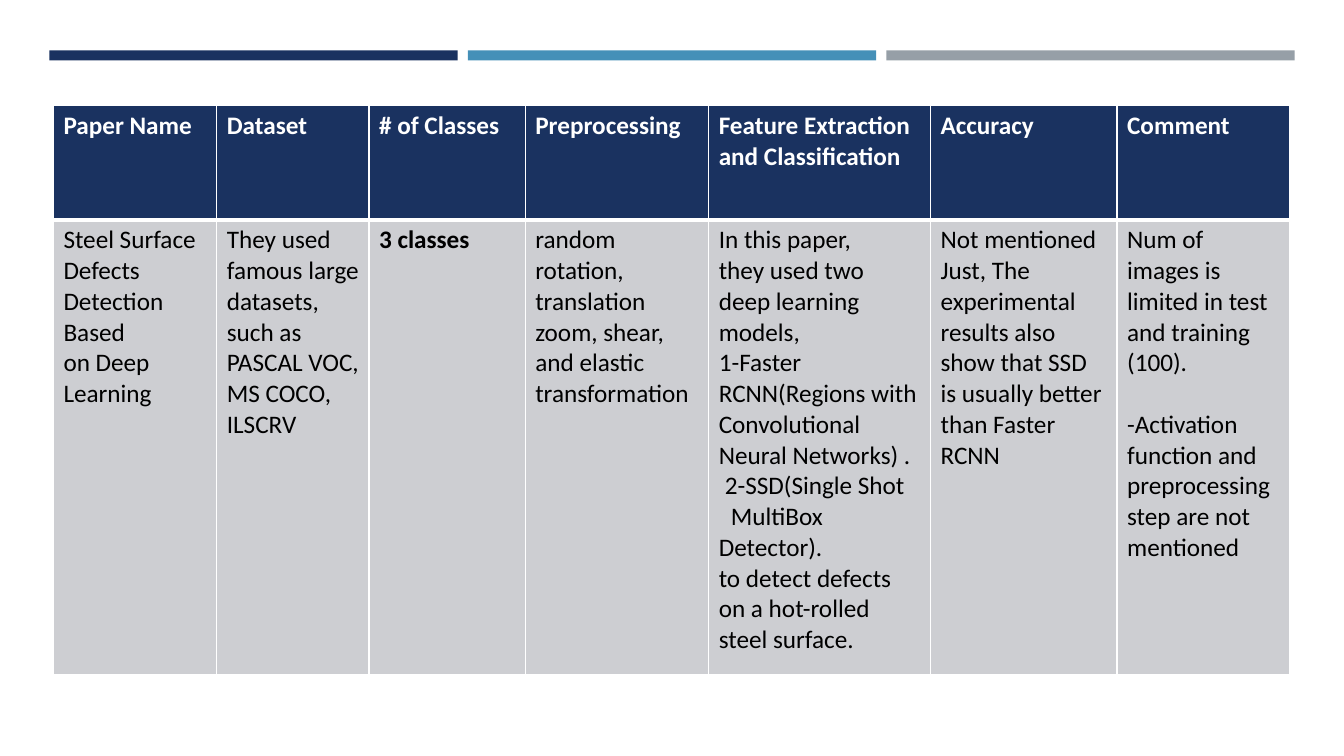
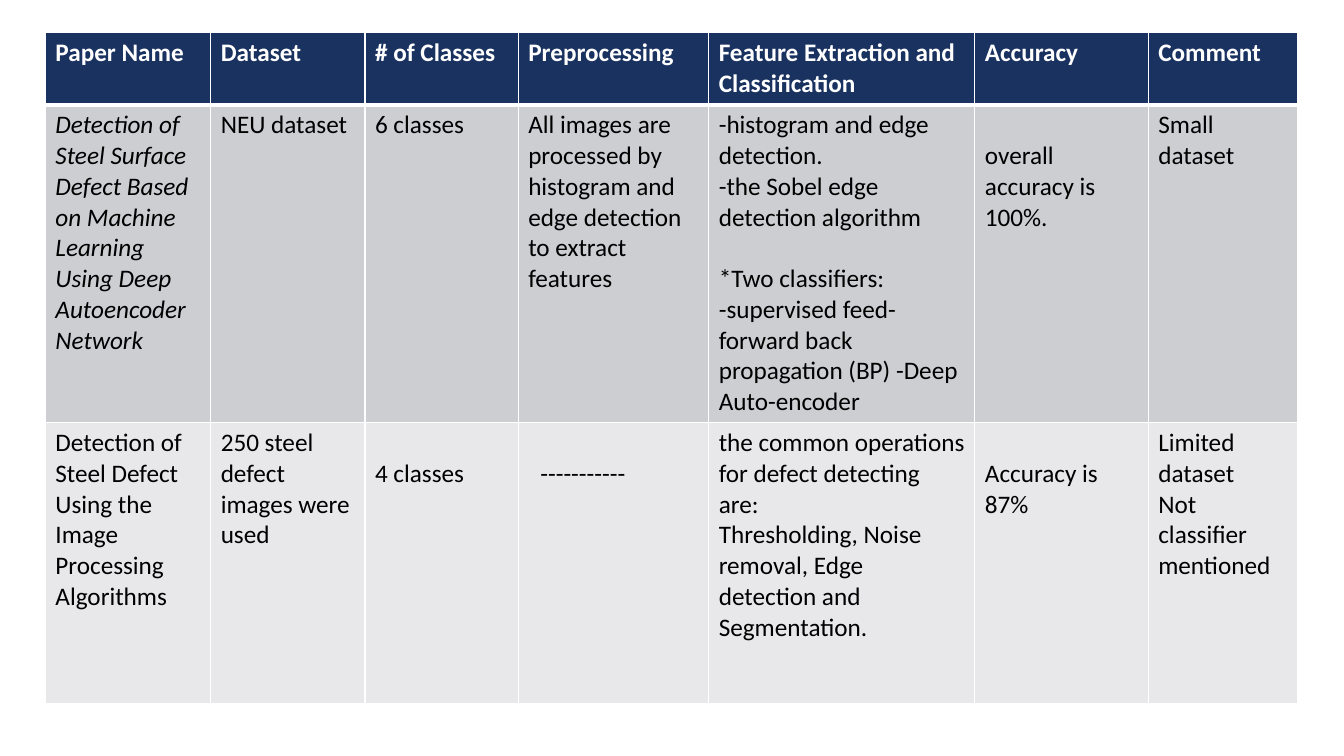
from pptx import Presentation, util as u
from pptx.dml.color import RGBColor
from pptx.enum import shapes
from pptx.oxml import parse_xml
from pptx.oxml.ns import nsdecls

NAVY, BLUE, GREY = "1A3260", "4590B8", "969FA7"
WHITE, BLACK = "FFFFFF", "000000"
BANDS = [NAVY, "CDCED2", "E8E8EA"]
SIZE, LINE = 18, 22  # text size and line height in points


def paint(fill, tone):
    fill.solid()
    fill.fore_color.rgb = RGBColor.from_string(tone)


def edge(cell, row):
    """White cell borders, with a thick rule under the header."""
    thick = {0: "lnB", 1: "lnT"}.get(row)
    for i, side in enumerate(["lnL", "lnR", "lnT", "lnB"]):
        width = u.Pt(3 if side == thick else 1)
        cell._tc.get_or_add_tcPr().insert(i, parse_xml(
            f'<a:{side} {nsdecls("a")} w="{width}"><a:solidFill>'
            f'<a:srgbClr val="{WHITE}"/></a:solidFill></a:{side}>'))


deck = Presentation()
deck.slide_width, deck.slide_height = u.Inches(13.33), u.Inches(7.5)
plain = deck.slide_layouts[6]

HEAD = ["Paper Name", "Dataset", "# of Classes", "Preprocessing",
        "Feature Extraction and Classification", "Accuracy", "Comment"]

# An empty line is a gap of one line; leading spaces are a first-line indent
PAGES = [
    {"at": (0.53, 1.05),
     "cols": [1.62, 1.51, 1.55, 1.82, 2.2, 1.85, 1.71],
     "rows": [1.13, 4.51],
     "body": [[
         "Steel Surface Defects Detection Based\non Deep Learning",
         "They used famous large datasets, such as PASCAL VOC, MS COCO, ILSCRV",
         "3 classes",
         "random rotation, translation\n"
         "zoom, shear, and elastic transformation",
         "In this paper,\n"
         "they used two deep learning models,\n"
         "1-Faster RCNN(Regions with Convolutional Neural Networks) .\n"
         " 2-SSD(Single Shot\n"
         "  MultiBox Detector).\n"
         "to detect defects on a hot-rolled steel surface.",
         "Not mentioned\n"
         "Just, The experimental results also show that SSD "
         "is usually better than Faster RCNN",
         "Num of images is limited in test and training (100).\n\n"
         "-Activation function and preprocessing step are not mentioned"]]},
    {"at": (0.45, 0.32),
     "cols": [1.64, 1.53, 1.52, 1.89, 2.64, 1.72, 1.48],
     "rows": [0.72, 3.15, 2.79],
     "body": [[
         "Detection of Steel Surface Defect Based on Machine Learning "
         "Using Deep Autoencoder Network",
         "NEU dataset",
         "6 classes",
         "All images are processed by histogram and edge detection "
         "to extract features",
         "-histogram and edge detection.\n"
         "-the Sobel edge detection algorithm\n\n"
         "*Two classifiers:\n"
         "-supervised feed-forward back propagation (BP) -Deep Auto-encoder",
         "\noverall accuracy is 100%.",
         "Small dataset"],
        ["Detection of Steel Defect Using the Image Processing\nAlgorithms",
         "250 steel defect\nimages were used",
         "\n4 classes",
         "\n  -----------",
         "the common operations for defect detecting are:\n"
         "Thresholding, Noise removal, Edge detection and Segmentation.",
         "\nAccuracy is 87%",
         "Limited dataset\nNot classifier mentioned"]]},
]
LOOKS = {"3 classes": "bold", PAGES[1]["body"][0][0]: "italic"}

for page in PAGES:
    slide = deck.slides.add_slide(plain)

    # Top bars, drawn once and kept in the shared layout
    if page is PAGES[0]:
        for i, tone in enumerate([NAVY, BLUE, GREY]):
            bar = slide.shapes.add_shape(
                shapes.MSO_SHAPE.RECTANGLE, u.Inches(0.49 + 4.15 * i),
                u.Inches(0.5), u.Inches(4.05), u.Inches(0.1))
            paint(bar.fill, tone)
            bar.line.fill.background()
            bar.shadow.inherit = False
            plain.shapes.element.append(bar.element)

    # Table frame
    cols, rows = page["cols"], page["rows"]
    left, top = page["at"]
    grid = slide.shapes.add_table(
        len(rows), len(cols), u.Inches(left), u.Inches(top),
        u.Inches(sum(cols)), u.Inches(sum(rows))).table
    for col, width in zip(grid.columns, cols):
        col.width = u.Inches(width)
    for row, height in zip(grid.rows, rows):
        row.height = u.Inches(height)

    # Cells
    for r, words in enumerate([HEAD] + page["body"]):
        for c, copy in enumerate(words):
            cell = grid.cell(r, c)
            paint(cell.fill, BANDS[r])
            edge(cell, r)
            gap, fresh = 0, True
            for line in copy.split("\n"):
                if not line:
                    gap = LINE
                    continue
                if fresh:
                    para = cell.text_frame.paragraphs[0]
                    cell.margin_top = u.Inches(0.05) + u.Pt(gap)
                else:
                    para = cell.text_frame.add_paragraph()
                    para.space_before = u.Pt(gap)
                gap, fresh = 0, False
                text = line.lstrip()
                dent = u.Inches(0.06) * (len(line) - len(text))
                if dent:
                    para._p.get_or_add_pPr().set("indent", str(dent))
                run = para.add_run()
                run.text = text
                font = run.font
                font.name, font.size = "Calibri", u.Pt(SIZE)
                font.bold, font.italic = r == 0, False
                font.color.rgb = RGBColor.from_string(BLACK if r else WHITE)
                if copy in LOOKS:
                    setattr(font, LOOKS[copy], True)

deck.save("out.pptx")
